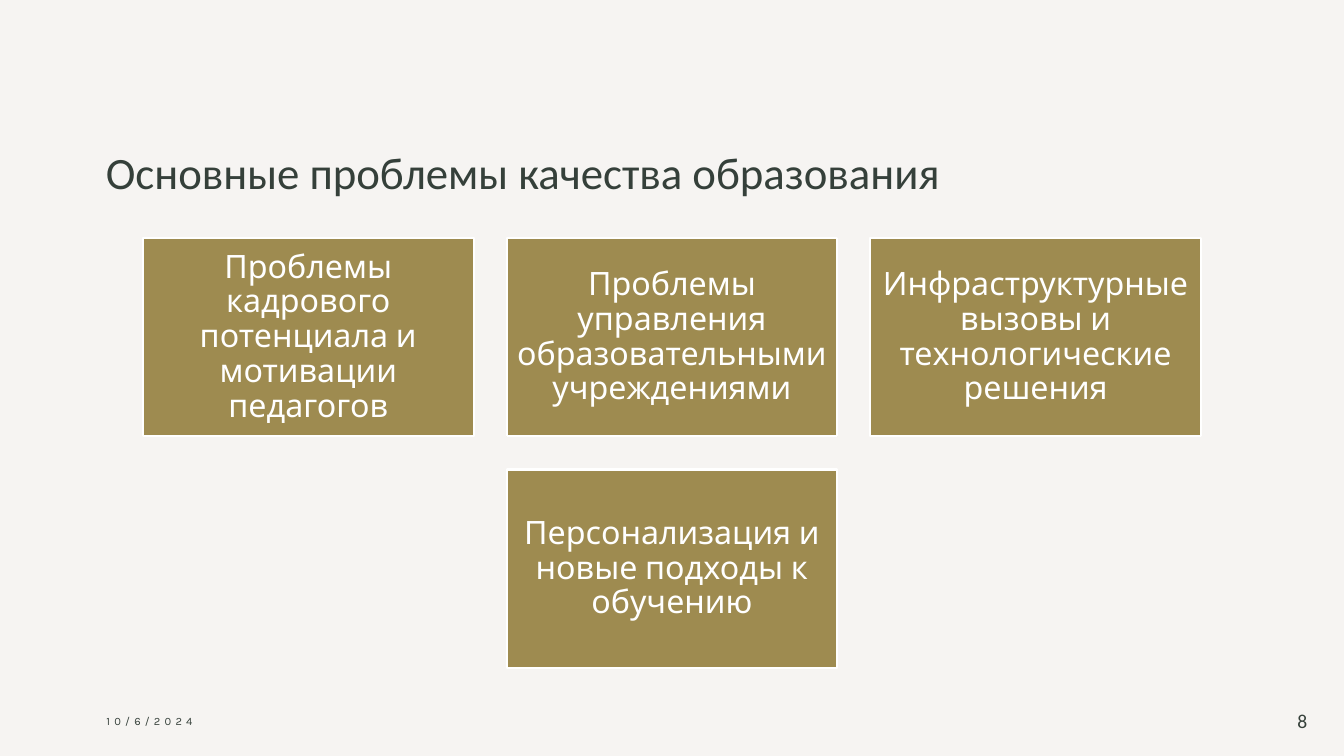
from pptx import Presentation
from pptx.dml.color import RGBColor
from pptx.enum.shapes import MSO_SHAPE as Shape
from pptx.enum.text import MSO_ANCHOR as Anchor, MSO_AUTO_SIZE as AutoSize, PP_ALIGN as Align
from pptx.util import Pt

COLORS = {"paper": "F6F4F2", "ink": "35403A", "olive": "9E8B50", "white": "FFFFFF"}
HEADING_FONT, BODY_FONT = "Calibri", "Karla"
SLIDE_W, SLIDE_H = 960, 540


def color(name):
    return RGBColor.from_string(COLORS[name])


class ProblemSlide:
    """Holds the slide and its style; lengths are in points."""

    def __init__(self, deck):
        self.slide = deck.slides.add_slide(deck.slide_layouts[5])
        background = self.slide.background.fill
        background.solid()
        background.fore_color.rgb = color("paper")

    def set_text(self, frame, text, size, font, ink="ink", align=Align.LEFT,
                 anchor=Anchor.MIDDLE, tracking=0):
        frame.word_wrap = True
        frame.auto_size = AutoSize.NONE
        frame.vertical_anchor = anchor
        paragraph = frame.paragraphs[0]
        paragraph.alignment = align
        run = paragraph.add_run()
        run.text = text
        run.font.size = Pt(size)
        run.font.name = font
        run.font.color.rgb = color(ink)
        if tracking:
            run._r.get_or_add_rPr().set("spc", str(tracking * 100))
        return paragraph

    def title(self, text, left, top, width, height):
        heading = self.slide.shapes.title
        heading.left, heading.top = Pt(left), Pt(top)
        heading.width, heading.height = Pt(width), Pt(height)
        self.set_text(heading.text_frame, text, 32, HEADING_FONT, anchor=Anchor.BOTTOM)

    def label(self, text, left, top, width, height, size, font, **style):
        box = self.slide.shapes.add_textbox(Pt(left), Pt(top), Pt(width), Pt(height))
        self.set_text(box.text_frame, text, size, font, **style)

    def card(self, text, left, top, width, height):
        card = self.slide.shapes.add_shape(
            Shape.RECTANGLE, Pt(left), Pt(top), Pt(width), Pt(height))
        card.shadow.inherit = False
        card.fill.solid()
        card.fill.fore_color.rgb = color("olive")
        card.line.color.rgb = color("white")
        card.line.width = Pt(1.5)
        frame = card.text_frame
        frame.margin_left = frame.margin_right = Pt(7)
        frame.margin_top = frame.margin_bottom = Pt(7)
        paragraph = self.set_text(frame, text, 23, BODY_FONT, "white", Align.CENTER)
        paragraph.line_spacing = 0.9

    def card_rows(self, rows, top, width, height, gap):
        """Lays out rows of equal cards, each row centred on the slide."""
        for index, row in enumerate(rows):
            row_width = len(row) * (width + gap) - gap
            left = (SLIDE_W - row_width) / 2
            for column, text in enumerate(row):
                self.card(text, left + column * (width + gap),
                          top + index * (height + gap), width, height)


def main():
    deck = Presentation()
    deck.slide_width, deck.slide_height = Pt(SLIDE_W), Pt(SLIDE_H)
    problems = ProblemSlide(deck)

    # Title
    problems.title("Основные проблемы качества образования", 68.4, 46, 823, 99.4)

    # Problem cards
    problems.card_rows([
        ["Проблемы кадрового потенциала и мотивации педагогов",
         "Проблемы управления образовательными учреждениями",
         "Инфраструктурные вызовы и технологические решения"],
        ["Персонализация и новые подходы к обучению"],
    ], top=170, width=236.2, height=141.8, gap=23.6)

    # Footer: date and slide number
    problems.label("10/6/2024", 69, 500.4, 216, 28.8, 8, BODY_FONT, tracking=3)
    problems.label("8", 900, 500.4, 41, 28.8, 14, HEADING_FONT, align=Align.RIGHT)

    deck.save("out.pptx")


if __name__ == "__main__":
    main()
